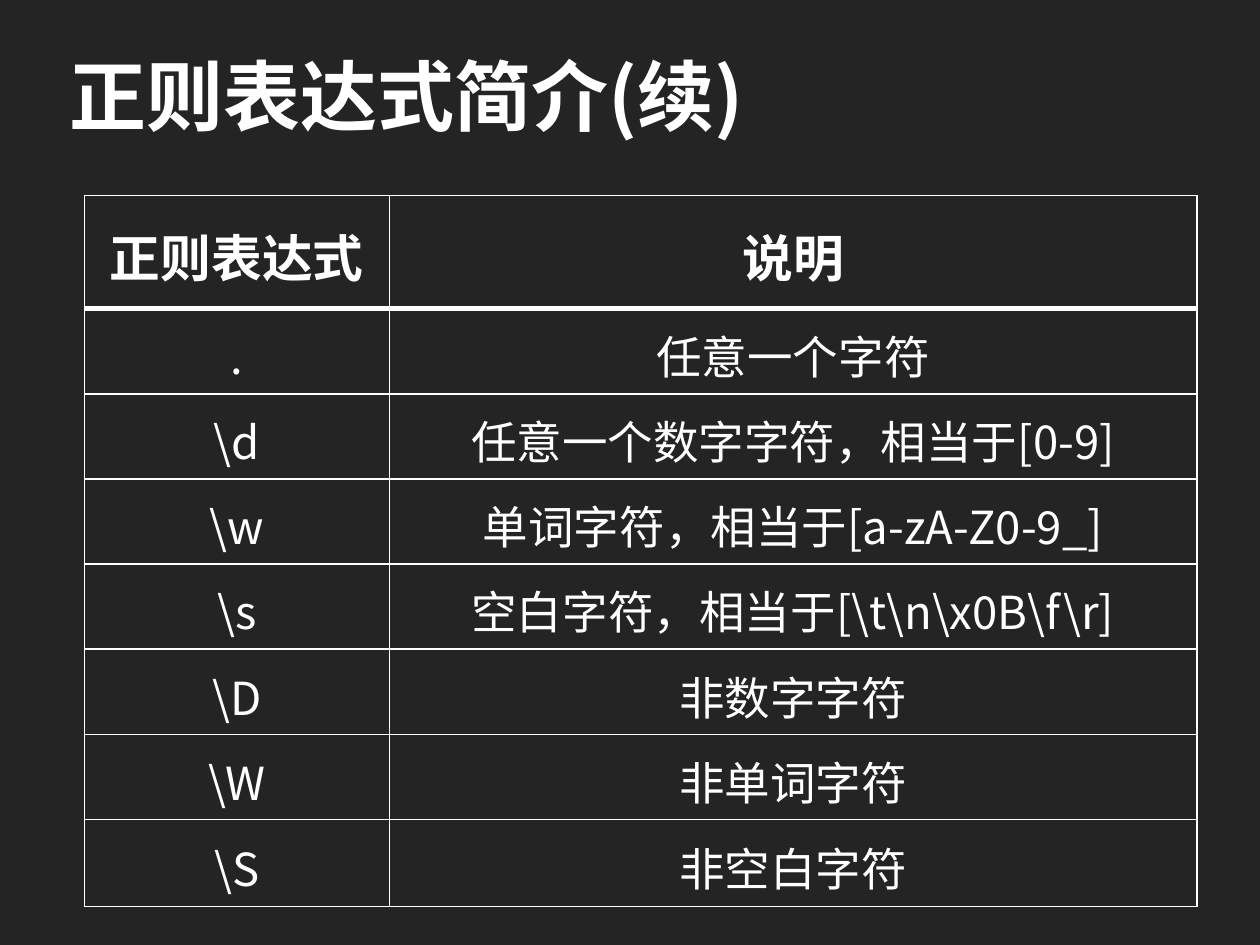
import pptx
import pptx.dml.color
import pptx.enum.text
import pptx.oxml
import pptx.oxml.ns
import pptx.util
from lxml import etree

Inches, Pt = pptx.util.Inches, pptx.util.Pt
RGBColor = pptx.dml.color.RGBColor
PP_ALIGN = pptx.enum.text.PP_ALIGN
MSO_ANCHOR = pptx.enum.text.MSO_ANCHOR
qn = pptx.oxml.ns.qn

COLORS = {"background": "242424", "text": "FFFFFF", "border": "FFFFFF"}
FONT = "Noto Sans CJK SC"
TITLE_FONT = {"size": Pt(44), "bold": True, "name": FONT}
HEADER_FONT = {"size": Pt(29), "bold": True, "name": FONT}
BODY_FONT = {"size": Pt(26), "bold": False, "name": FONT}
CELL_PARAGRAPH = {"alignment": PP_ALIGN.CENTER, "line_spacing": 1.1, "space_before": Pt(10.2)}
CELL_FORMAT = {
    "vertical_anchor": MSO_ANCHOR.MIDDLE,
    "margin_left": Inches(0.09),
    "margin_right": Inches(0.09),
    "margin_top": Inches(0.05),
    "margin_bottom": Inches(0.05),
}

TITLE = "正则表达式简介(续)"
ROWS = [
    ("正则表达式", "说明"),
    (".", "任意一个字符"),
    (r"\d", "任意一个数字字符，相当于[0-9]"),
    (r"\w", "单词字符，相当于[a-zA-Z0-9_]"),
    (r"\s", r"空白字符，相当于[\t\n\x0B\f\r]"),
    (r"\D", "非数字字符"),
    (r"\W", "非单词字符"),
    (r"\S", "非空白字符"),
]
COLUMN_WIDTHS = [2.42, 6.41]
ROW_HEIGHTS = [0.9, 0.55, 0.57, 0.59, 0.58, 0.51, 0.51, 0.69]


def apply(target, values):
    for name, value in values.items():
        setattr(target, name, value)


def write(p, text, font):
    r = p.add_run()
    r.text = text
    apply(r.font, font)
    r.font.color.rgb = RGBColor.from_string(COLORS["text"])
    ea = etree.SubElement(r._r.get_or_add_rPr(), qn("a:ea"))
    ea.set("typeface", FONT)


def set_borders(cell, widths):
    tcPr = cell._tc.get_or_add_tcPr()
    for i, side in enumerate("LRTB"):
        ln = etree.Element(qn(f"a:ln{side}"), w=str(Pt(widths.get(side, 1))))
        fill = etree.SubElement(ln, qn("a:solidFill"))
        etree.SubElement(fill, qn("a:srgbClr"), val=COLORS["border"])
        tcPr.insert(i, ln)


def add_title(slide, left, top, width, height):
    sp = slide.shapes.title
    apply(sp, {"left": left, "top": top, "width": width, "height": height})
    tf = sp.text_frame
    apply(tf, {"vertical_anchor": MSO_ANCHOR.MIDDLE, "word_wrap": True})
    p = tf.paragraphs[0]
    p.alignment = PP_ALIGN.LEFT
    write(p, TITLE, TITLE_FONT)


def add_regex_table(slide, left, top, width, height):
    frame = slide.shapes.add_table(len(ROWS), len(COLUMN_WIDTHS), left, top, width, height)
    table = frame.table
    apply(table, {"first_row": False, "horz_banding": False})
    for column, column_width in zip(table.columns, COLUMN_WIDTHS):
        column.width = Inches(column_width)
    for i, (texts, row_height) in enumerate(zip(ROWS, ROW_HEIGHTS)):
        table.rows[i].height = Inches(row_height)
        font = HEADER_FONT if i == 0 else BODY_FONT
        heavy = {0: {"B": 3}, 1: {"T": 3}}.get(i, {})
        for j, text in enumerate(texts):
            cell = table.cell(i, j)
            apply(cell, CELL_FORMAT)
            cell.fill.background()
            set_borders(cell, heavy)
            p = cell.text_frame.paragraphs[0]
            apply(p, CELL_PARAGRAPH)
            write(p, text, font)


def main():
    prs = pptx.Presentation()
    apply(prs, {"slide_width": Inches(10), "slide_height": Inches(7.5)})
    slide = prs.slides.add_slide(prs.slide_layouts[5])
    fill = slide.background.fill
    fill.solid()
    fill.fore_color.rgb = RGBColor.from_string(COLORS["background"])
    add_title(slide, Inches(0.45), Inches(0.23), Inches(9.09), Inches(1.04))
    add_regex_table(slide, Inches(0.67), Inches(1.55), Inches(8.83), Inches(5.06))
    prs.save("out.pptx")


if __name__ == "__main__":
    main()
